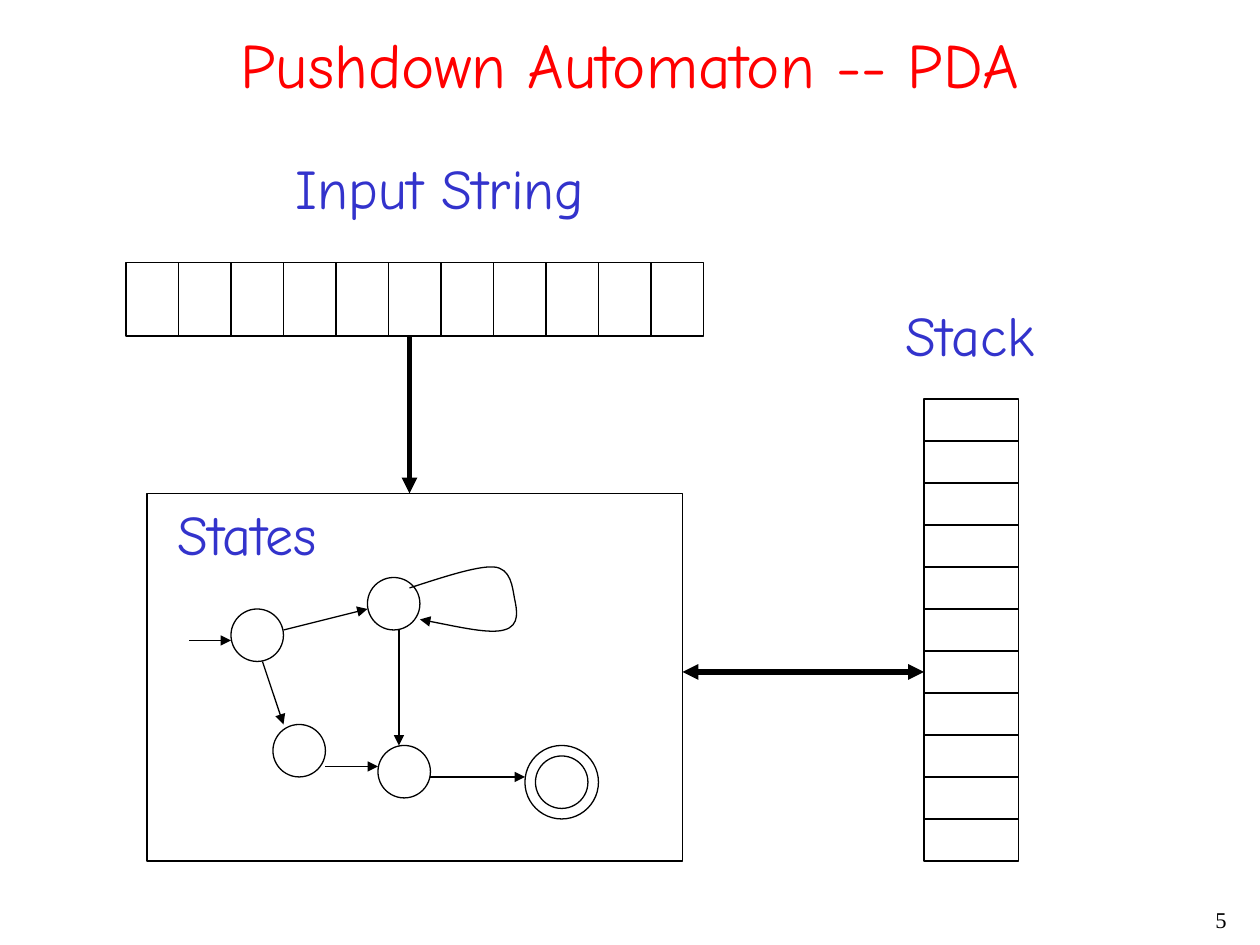
from dataclasses import dataclass

from lxml.etree import SubElement
from pptx import Presentation
from pptx.dml.color import RGBColor
from pptx.enum.shapes import MSO_CONNECTOR, MSO_SHAPE
from pptx.enum.text import MSO_ANCHOR, PP_ALIGN
from pptx.oxml.ns import qn
from pptx.util import Cm, Pt


@dataclass(frozen=True)
class Theme:
    red: RGBColor = RGBColor(0xFF, 0x00, 0x00)
    blue: RGBColor = RGBColor(0x33, 0x33, 0xCC)
    black: RGBColor = RGBColor(0x00, 0x00, 0x00)
    hand: str = "Comic Neue"
    serif: str = "Times New Roman"
    title: float = 36
    label: float = 32
    number: float = 12.9
    thin: float = 0.75
    thick: float = 3


THEME = Theme()

# All positions are in grid units; the slide is 120 by 90 units.
UNIT_CM = 2.54 / 12
SLIDE_SIZE = (120, 90)

TITLE = ("Pushdown Automaton -- PDA", (2, 2, 116, 8))
PAGE_NUMBER = ("5", (93, 86, 25, 4))
LABELS = [
    ("Input String", (27, 14, 29.9, 7.7)),
    ("Stack", (85.1, 28, 14.76, 7.7)),
    ("States", (15.7, 47, 16.1, 7.7)),
]

CONTROL_BOX = (14, 47, 51, 35)
TAPE = (12, 25, 55, 7)
STACK = (88, 38, 9, 44)
CELL_COUNT = 11

STATE_CIRCLES = [  # left, top, diameter
    (22, 58, 5), (35, 55, 5), (26, 69, 5), (36, 71, 5),
    (50, 71, 7), (51, 72, 5),  # the two rings of the accepting state
]
TRANSITIONS = [
    ((18, 61), (22, 61)),
    ((27, 60), (35, 58)),
    ((25, 63), (27, 69)),
    ((31, 73), (36, 73)),
    ((38, 60), (38, 71)),
    ((41, 74), (50, 74)),
]
LOOP_START = (39, 56)
LOOP_CURVES = [  # two control points and an end point each
    ((42.1, 55), (45.4, 53.9), (47, 54)),
    ((48.7, 54.1), (48.8, 56), (49, 57)),
    ((49.2, 58), (49.6, 59.6), (48, 60)),
    ((46.6, 60.4), (43.2, 59.6), (40, 59)),
]
READ_HEAD = ((39, 32), (39, 47))
STACK_ACCESS = ((88, 64), (65, 64))


def grid(*units):
    return [Cm(unit * UNIT_CM) for unit in units]


def style_line(shape, width=THEME.thin, ends=()):
    """Draw a black line; ends may name headEnd and tailEnd, in that order."""
    shape.line.color.rgb = THEME.black
    shape.line.width = Pt(width)
    for end in ends:
        SubElement(shape.line._get_or_add_ln(), qn(f"a:{end}"), type="triangle")


def add_outline(slide, kind, box):
    shape = slide.shapes.add_shape(kind, *grid(*box))
    shape.shadow.inherit = False
    shape.fill.background()
    style_line(shape)


def add_line(slide, start, end, **line_style):
    line = slide.shapes.add_connector(MSO_CONNECTOR.STRAIGHT, *grid(*start, *end))
    style_line(line, **line_style)
    SubElement(line._element.spPr, qn("a:effectLst"))


def add_cells(slide, box, across):
    """Draw a box split into equal cells, side by side or one above another."""
    left, top, width, height = box
    add_outline(slide, MSO_SHAPE.RECTANGLE, box)
    for index in range(1, CELL_COUNT):
        if across:
            x = left + index * width / CELL_COUNT
            add_line(slide, (x, top), (x, top + height))
        else:
            y = top + index * height / CELL_COUNT
            add_line(slide, (left, y), (left + width, y))


def add_loop(slide):
    """Build the outline through the end points, then bend each segment."""
    builder = slide.shapes.build_freeform(*grid(*LOOP_START))
    builder.add_line_segments([grid(*curve[-1]) for curve in LOOP_CURVES], close=False)
    loop = builder.convert_to_shape()
    loop.shadow.inherit = False
    loop.fill.background()
    style_line(loop, ends=["tailEnd"])
    segments = list(loop._element.iter(qn("a:lnTo")))
    for segment, curve in zip(segments, LOOP_CURVES):
        segment.tag = qn("a:cubicBezTo")
        for point in list(segment):
            segment.remove(point)
        for x, y in (grid(*point) for point in curve):
            SubElement(segment, qn("a:pt"), x=str(x - loop.left), y=str(y - loop.top))


def add_text(slide, content, size, color, font=THEME.hand, align=PP_ALIGN.LEFT,
             anchor=MSO_ANCHOR.TOP, wrap=True, spacing=None):
    text, box = content
    frame = slide.shapes.add_textbox(*grid(*box)).text_frame
    frame.word_wrap = wrap
    frame.vertical_anchor = anchor
    paragraph = frame.paragraphs[0]
    paragraph.text = text
    paragraph.alignment = align
    paragraph.line_spacing = spacing
    paragraph.font.name = font
    paragraph.font.size = Pt(size)
    paragraph.font.color.rgb = color


def main():
    presentation = Presentation()
    presentation.slide_width, presentation.slide_height = grid(*SLIDE_SIZE)
    slide = presentation.slides.add_slide(presentation.slide_layouts[6])

    add_text(slide, PAGE_NUMBER, THEME.number, THEME.black, font=THEME.serif,
             align=PP_ALIGN.RIGHT, spacing=0.9)
    add_text(slide, TITLE, THEME.title, THEME.red,
             align=PP_ALIGN.CENTER, anchor=MSO_ANCHOR.MIDDLE)

    add_outline(slide, MSO_SHAPE.RECTANGLE, CONTROL_BOX)
    for left, top, diameter in STATE_CIRCLES:
        add_outline(slide, MSO_SHAPE.OVAL, (left, top, diameter, diameter))
    for start, end in TRANSITIONS:
        add_line(slide, start, end, ends=["tailEnd"])
    add_loop(slide)

    add_cells(slide, STACK, across=False)
    add_cells(slide, TAPE, across=True)
    add_line(slide, *READ_HEAD, width=THEME.thick, ends=["tailEnd"])
    add_line(slide, *STACK_ACCESS, width=THEME.thick, ends=["headEnd", "tailEnd"])

    for label in LABELS:
        add_text(slide, label, THEME.label, THEME.blue, wrap=False)

    presentation.save("out.pptx")


if __name__ == "__main__":
    main()
